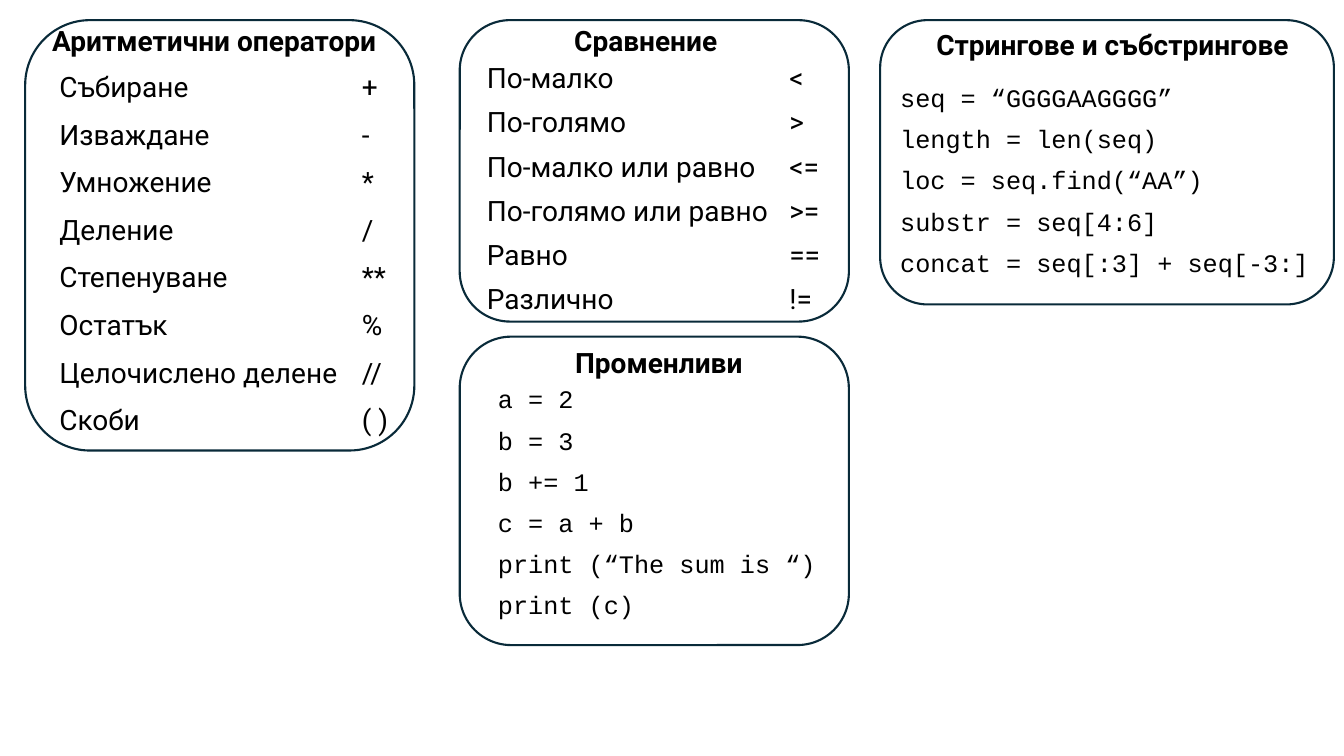
from dataclasses import dataclass

from lxml import etree
from pptx import Presentation, util as u
from pptx.dml.color import RGBColor
from pptx.enum import shapes, text
from pptx.oxml.ns import qn

PX = 9144
BLACK = RGBColor(0x00, 0x00, 0x00)
NAVY = RGBColor(0x09, 0x2A, 0x39)
PROSE_FONT = "Roboto"
CODE_FONT = "Courier New"
SYMBOL_TAB = 300


@dataclass(frozen=True)
class Area:
    left: int
    top: int
    width: int
    height: int

    def emu(self) -> tuple[int, ...]:
        return tuple(n * PX for n in (self.left, self.top, self.width, self.height))


@dataclass(frozen=True)
class Panel:
    heading: str
    frame: Area
    heading_area: Area
    lines_area: Area
    lines: list[str]
    font: str = PROSE_FONT
    size: int = 20
    spacing: float = 0.9


def operators(*pairs: tuple[str, str]) -> list[str]:
    return [f"{name}\t{symbol}" for name, symbol in pairs]


PANELS = [
    Panel(
        "Аритметични оператори",
        Area(25, 20, 386, 427), Area(7, 0, 411, 84), Area(49, 64, 365, 394),
        operators(
            ("Събиране", "+"),
            ("Изваждане", "-"),
            ("Умножение", "*"),
            ("Деление", "/"),
            ("Степенуване", "**"),
            ("Остатък", "%"),
            ("Целочислено делене", "//"),
            ("Скоби", "( )"),
        ),
        spacing=1.0,
    ),
    Panel(
        "Сравнение",
        Area(456, 20, 386, 299), Area(435, 0, 411, 84), Area(473, 59, 388, 282),
        operators(
            ("По-малко", "<"),
            ("По-голямо", ">"),
            ("По-малко или равно", "<="),
            ("По-голямо или равно", ">="),
            ("Равно", "=="),
            ("Различно", "!="),
        ),
    ),
    Panel(
        "Променливи",
        Area(456, 334, 386, 306), Area(448, 320, 411, 84), Area(484, 379, 377, 261),
        ["а = 2", "b = 3", "b += 1", "c = a + b", "print (“The sum is “)", "print (c)"],
        font=CODE_FONT,
        size=18,
    ),
    Panel(
        "Стрингове и събстрингове",
        Area(873, 20, 450, 282), Area(898, 4, 411, 84), Area(883, 80, 450, 214),
        [
            "seq = “GGGGAAGGGG”",
            "length = len(seq)",
            "loc = seq.find(“AA”)",
            "substr = seq[4:6]",
            "concat = seq[:3] + seq[-3:]",
        ],
        font=CODE_FONT,
        size=18,
    ),
]


def add_tab_stop(para, position: int) -> None:
    tabs = etree.SubElement(para._p.get_or_add_pPr(), qn("a:tabLst"))
    etree.SubElement(tabs, qn("a:tab"), pos=str(position * PX), algn="l")


def write_text(box, lines: list[str], *, font: str = PROSE_FONT, size: int = 20,
               bold: bool = False, spacing: float = 0.9, before: int = 0,
               align=text.PP_ALIGN.LEFT, anchor=text.MSO_ANCHOR.TOP) -> None:
    frame = box.text_frame
    frame.word_wrap = True
    frame.auto_size = text.MSO_AUTO_SIZE.NONE
    frame.vertical_anchor = anchor
    for index, line in enumerate(lines):
        para = frame.add_paragraph() if index else frame.paragraphs[0]
        para.alignment = align
        para.line_spacing = spacing
        para.space_before = u.Pt(before)
        if "\t" in line:
            add_tab_stop(para, SYMBOL_TAB)
        span = para.add_run()
        span.text = line
        span.font.name = font
        span.font.size = u.Pt(size)
        span.font.bold = bold
        span.font.color.rgb = BLACK


def draw_panel(page, panel: Panel, heading_box) -> None:
    write_text(heading_box, [panel.heading], bold=True,
               align=text.PP_ALIGN.CENTER, anchor=text.MSO_ANCHOR.MIDDLE)

    lines_box = page.shapes.add_textbox(*panel.lines_area.emu())
    write_text(lines_box, panel.lines, font=panel.font, size=panel.size,
               spacing=panel.spacing, before=10)

    outline = page.shapes.add_shape(
        shapes.MSO_SHAPE.ROUNDED_RECTANGLE, *panel.frame.emu())
    outline.shadow.inherit = False
    outline.fill.background()
    outline.line.color.rgb = NAVY
    outline.line.width = u.Pt(1.5)


def main() -> None:
    deck = Presentation()
    deck.slide_width = 1333 * PX
    deck.slide_height = 750 * PX
    page = deck.slides.add_slide(deck.slide_layouts[5])

    first, *others = PANELS
    title = page.shapes.title
    title.left, title.top, title.width, title.height = first.heading_area.emu()
    draw_panel(page, first, title)
    for panel in others:
        draw_panel(page, panel, page.shapes.add_textbox(*panel.heading_area.emu()))

    deck.save("out.pptx")


if __name__ == "__main__":
    main()
